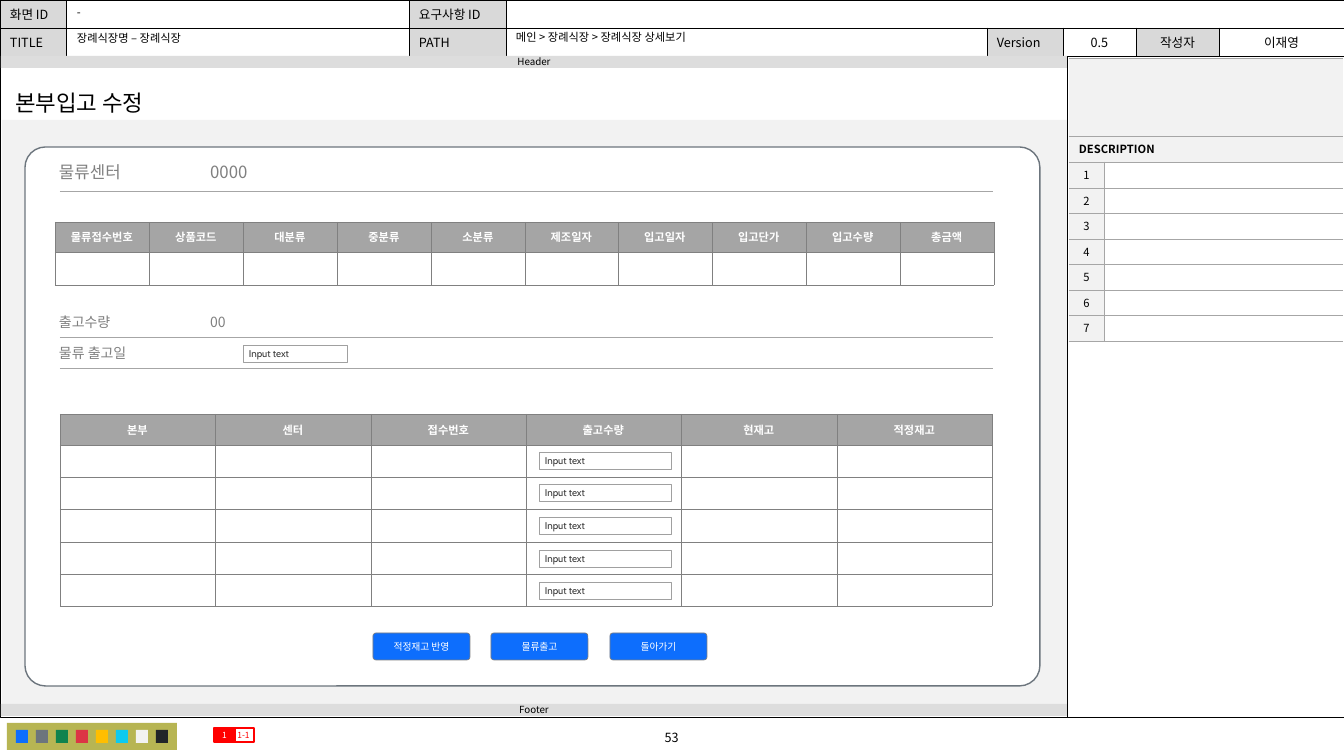
from dataclasses import dataclass, replace
from typing import NamedTuple, Optional

from lxml import etree
from pptx import Presentation
from pptx.dml.color import RGBColor
from pptx.enum.shapes import MSO_CONNECTOR, MSO_SHAPE
from pptx.enum.text import MSO_ANCHOR, MSO_AUTO_SIZE, PP_ALIGN
from pptx.oxml.ns import qn
from pptx.util import Pt

RECT, ROUND = MSO_SHAPE.RECTANGLE, MSO_SHAPE.ROUNDED_RECTANGLE
STRAIGHT = MSO_CONNECTOR.STRAIGHT
LEFT, CENTER = PP_ALIGN.LEFT, PP_ALIGN.CENTER
MIDDLE = MSO_ANCHOR.MIDDLE
NO_FIT = MSO_AUTO_SIZE.NONE

EMU_PER_PX = 914400 / 100.8
NOTO, CABIN = "Noto Sans CJK KR", "Cabin"

BLACK = RGBColor(0x00, 0x00, 0x00)
WHITE = RGBColor(0xFF, 0xFF, 0xFF)
LABEL_GRAY = RGBColor(0xD9, 0xD9, 0xD9)
BAR_GRAY = RGBColor(0xDD, 0xDD, 0xDD)
PALE_GRAY = RGBColor(0xF2, 0xF2, 0xF2)
HEAD_GRAY = RGBColor(0xA5, 0xA5, 0xA5)
RULE_GRAY = RGBColor(0xA6, 0xA6, 0xA6)
FIELD_GRAY = RGBColor(0xA0, 0xA0, 0xA0)
MID_GRAY = RGBColor(0x80, 0x80, 0x80)
INK = RGBColor(0x33, 0x33, 0x33)
RED = RGBColor(0xFF, 0x00, 0x00)
BLUE = RGBColor(0x0D, 0x6E, 0xFD)
SLATE = RGBColor(0x6C, 0x75, 0x7D)
OLIVE = RGBColor(0xB7, 0xB5, 0x53)
SWATCHES = [BLUE, SLATE, RGBColor(0x10, 0x83, 0x4E), RGBColor(0xDC, 0x35, 0x45),
            RGBColor(0xFF, 0xBE, 0x00), RGBColor(0x0D, 0xCA, 0xF0), PALE_GRAY,
            RGBColor(0x21, 0x25, 0x29)]


class Box(NamedTuple):
    left: int
    top: int
    width: int
    height: int


@dataclass(frozen=True)
class TextStyle:
    size: int
    color: RGBColor = BLACK
    align: PP_ALIGN = LEFT
    font: str = NOTO
    bold: bool = False
    inset: int = 10


@dataclass(frozen=True)
class Look:
    fill: Optional[RGBColor] = None
    line: Optional[RGBColor] = None
    weight: float = 0.5
    radius: Optional[float] = None


@dataclass(frozen=True)
class CellLook:
    fill: RGBColor
    style: TextStyle
    border: RGBColor
    weight: float
    sides: str = "LRTB"


def px(value: int) -> int:
    return round(value * EMU_PER_PX)


def even(total: int, count: int) -> list[int]:
    edges = [round(i * total / count) for i in range(count + 1)]
    return [end - start for start, end in zip(edges, edges[1:])]


def write(frame, text: str, style: TextStyle) -> None:
    frame.text = text
    para = frame.paragraphs[0]
    para.alignment = style.align
    if not text:
        etree.SubElement(para._p, qn("a:endParaRPr"), sz=str(style.size * 100))
    for span in para.runs:
        span.font.size = Pt(style.size)
        span.font.bold = style.bold
        span.font.name = style.font
        span.font.color.rgb = style.color
        etree.SubElement(span.font._element, qn("a:ea"), typeface=style.font)


def set_frame(frame, text: str, style: TextStyle) -> None:
    frame.auto_size = NO_FIT
    frame.word_wrap = True
    frame.vertical_anchor = MIDDLE
    frame.margin_left = frame.margin_right = px(style.inset)
    frame.margin_top = frame.margin_bottom = 0
    write(frame, text, style)


def add_box(page, box: Box, look: Look, text: str = "", style: Optional[TextStyle] = None) -> None:
    shape = page.shapes.add_shape(RECT if look.radius is None else ROUND, *map(px, box))
    shape.shadow.inherit = False
    if look.radius is not None:
        shape.adjustments[0] = look.radius
    if look.fill is None:
        shape.fill.background()
    else:
        shape.fill.solid()
        shape.fill.fore_color.rgb = look.fill
    if look.line is None:
        shape.line.fill.background()
    else:
        shape.line.color.rgb = look.line
        shape.line.width = Pt(look.weight)
    if style:
        set_frame(shape.text_frame, text, style)


def add_label(page, box: Box, text: str, style: TextStyle) -> None:
    label = page.shapes.add_textbox(*map(px, box))
    set_frame(label.text_frame, text, style)


def add_line(page, start: tuple[int, int], end: tuple[int, int], color: RGBColor) -> None:
    line = page.shapes.add_connector(STRAIGHT, *map(px, start + end))
    line.line.color.rgb = color
    line.line.width = Pt(0.5)
    etree.SubElement(line.element.spPr, qn("a:effectLst"))


def add_grid(page, left: int, top: int, widths: list[int], heights: list[int]):
    box = Box(left, top, sum(widths), sum(heights))
    grid = page.shapes.add_table(len(heights), len(widths), *map(px, box)).table
    grid.first_row = grid.horz_banding = False
    for column, width in zip(grid.columns, widths):
        column.width = px(width)
    for row, height in zip(grid.rows, heights):
        row.height = px(height)
    return grid


def set_cell(cell, text: str, look: CellLook) -> None:
    properties = cell._tc.get_or_add_tcPr()
    for side in "LRTB":
        edge = etree.SubElement(properties, qn(f"a:ln{side}"), w=str(Pt(look.weight)))
        if side in look.sides:
            solid = etree.SubElement(edge, qn("a:solidFill"))
            etree.SubElement(solid, qn("a:srgbClr"), val=str(look.border))
        else:
            etree.SubElement(edge, qn("a:noFill"))
    cell.fill.solid()
    cell.fill.fore_color.rgb = look.fill
    cell.vertical_anchor = MIDDLE
    cell.margin_left = cell.margin_right = px(look.style.inset)
    cell.margin_top = cell.margin_bottom = 0
    write(cell.text_frame, text, look.style)


def add_info_table(page) -> None:
    rows = [["화면 ID", "", "요구사항 ID", "", "", "", "", ""],
            ["TITLE", "", "PATH", "", "Version", "0.5", "작성자", "이재영"]]
    grid = add_grid(page, 0, 0, [66, 343, 97, 481, 76, 73, 83, 125], [28, 28])
    grid.cell(0, 3).merge(grid.cell(0, 7))
    for r, texts in enumerate(rows):
        for c, text in enumerate(texts):
            fill = LABEL_GRAY if text and c % 2 == 0 else WHITE
            style = TextStyle(9, align=CENTER if c > 4 else LEFT)
            set_cell(grid.cell(r, c), text, CellLook(fill, style, BLACK, 0.5))


def add_description_table(page) -> None:
    grid = add_grid(page, 1069, 58, [35, 239], [78, 26] + even(179, 7))
    banner = CellLook(PALE_GRAY, TextStyle(8, bold=True), RULE_GRAY, 0.5, "TB")
    number = replace(banner, style=TextStyle(8, align=CENTER, inset=0), sides="RTB")
    note = replace(banner, fill=WHITE, style=TextStyle(8), sides="LTB")
    for r, text in enumerate(["", "DESCRIPTION"]):
        grid.cell(r, 0).merge(grid.cell(r, 1))
        set_cell(grid.cell(r, 0), text, banner)
        set_cell(grid.cell(r, 1), "", banner)
    for order in range(1, 8):
        set_cell(grid.cell(order + 1, 0), str(order), number)
        set_cell(grid.cell(order + 1, 1), "", note)


def add_data_table(page, left: int, top: int, width: int, heights: list[int], heads: list[str]) -> None:
    grid = add_grid(page, left, top, even(width, len(heads)), heights)
    head = CellLook(HEAD_GRAY, TextStyle(8, WHITE, CENTER, bold=True, inset=6), MID_GRAY, 0.25)
    for c, text in enumerate(heads):
        set_cell(grid.cell(0, c), text, head)
        for r in range(1, len(heights)):
            set_cell(grid.cell(r, c), "", replace(head, fill=WHITE))


def place(holder, box: Box, text: str, style: TextStyle) -> None:
    holder.left, holder.top, holder.width, holder.height = map(px, box)
    set_frame(holder.text_frame, text, style)
    para = holder.text_frame.paragraphs[0]
    para.space_before = Pt(0)
    properties = para._p.get_or_add_pPr()
    properties.set("marL", "0")
    properties.set("indent", "0")
    etree.SubElement(properties, qn("a:buNone"))
    holder.element.getparent().append(holder.element)


def main() -> None:
    deck = Presentation()
    deck.slide_width, deck.slide_height = px(1344), px(756)
    page = deck.slides.add_slide(deck.slide_layouts[1])
    bar, bar_text = Look(BAR_GRAY), TextStyle(7, align=CENTER, inset=0)

    add_info_table(page)
    add_box(page, Box(0, 56, 1344, 661), Look(line=BLACK, weight=0.25))
    add_label(page, Box(541, 725, 261, 25), "53", TextStyle(9, align=CENTER))
    add_line(page, (1067, 56), (1067, 717), BLACK)
    add_box(page, Box(7, 723, 170, 27), Look(OLIVE))
    for i, color in enumerate(SWATCHES):
        add_box(page, Box(16 + 20 * i, 730, 12, 13), Look(color))
    add_box(page, Box(2, 120, 1065, 596), Look(PALE_GRAY))
    for top, text in [(704, "Footer"), (56, "Header")]:
        add_box(page, Box(1, top, 1066, 12), bar, text, bar_text)
    add_description_table(page)

    for box, text in [(Box(67, 1, 343, 23), "-"), (Box(67, 28, 341, 20), "장례식장명 – 장례식장")]:
        add_label(page, box, text, TextStyle(8))
    for left, text, fill, color in [(233, "1-1", None, RED), (214, "1", RED, WHITE)]:
        add_box(page, Box(left, 728, 21, 14), Look(fill, RED, 1), text,
                TextStyle(6, color, CENTER, inset=0))
    place(page.shapes.title, Box(5, 84, 164, 37), "본부입고 수정", TextStyle(16))
    place(page.placeholders[1], Box(506, 26, 478, 23),
          "메인 > 장례식장 > 장례식장 상세보기", TextStyle(8))

    add_box(page, Box(25, 147, 1015, 539), Look(WHITE, SLATE, 1, 0.038))
    add_data_table(page, 60, 414, 932, [31] + even(161, 5),
                   ["본부", "센터", "접수번호", "출고수량", "현재고", "적정재고"])
    add_data_table(page, 55, 222, 939, [30, 33],
                   ["물류접수번호", "상품코드", "대분류", "중분류", "소분류",
                    "제조일자", "입고일자", "입고단가", "입고수량", "총금액"])
    for top, height, rule, text, size in [(156, 31, 191, "물류센터 \t\t0000", 12),
                                          (308, 28, 337, "출고수량 \t\t00", 10),
                                          (339, 28, 368, "물류 출고일", 10)]:
        add_label(page, Box(49, top, 270, height), text, TextStyle(size, MID_GRAY))
        add_line(page, (60, rule), (993, rule), RULE_GRAY)

    for left, text in [(373, "적정재고 반영"), (491, "물류출고"), (610, "돌아가기")]:
        add_box(page, Box(left, 633, 97, 27), Look(BLUE, MID_GRAY, radius=0.108), text,
                TextStyle(7, WHITE, CENTER, CABIN))
    fields = [Box(243, 345, 104, 17)]
    fields += [Box(539, 452 + round(32.5 * i), 132, 17) for i in range(5)]
    for box in fields:
        add_box(page, box, Look(WHITE, FIELD_GRAY), "Input text",
                TextStyle(7, INK, font=CABIN, inset=6))
    deck.save("out.pptx")


if __name__ == "__main__":
    main()
